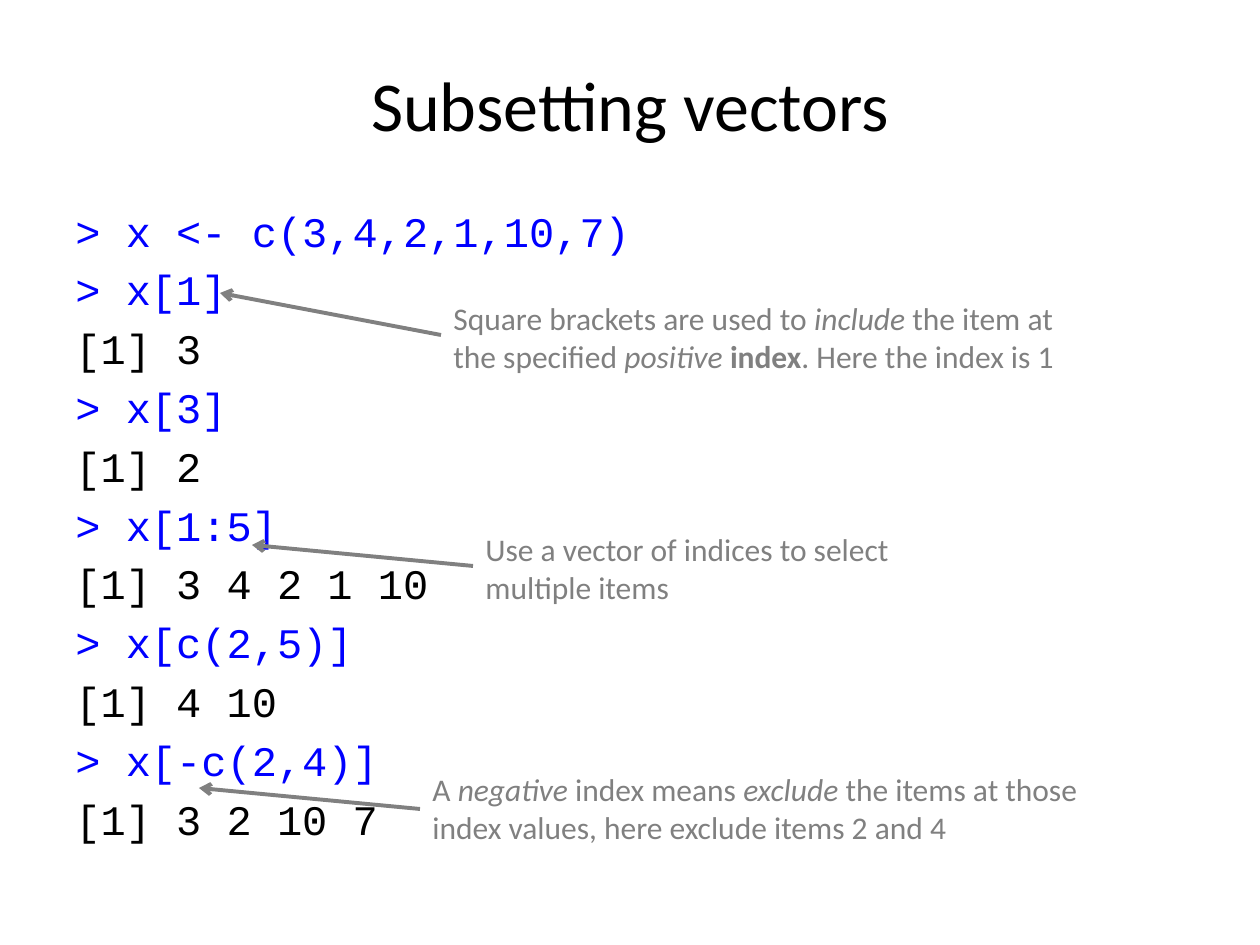
"""Build the slide on subsetting vectors in R."""
from lxml import etree
from pptx import Presentation
from pptx.dml.color import RGBColor
from pptx.enum.shapes import MSO_CONNECTOR
from pptx.enum.text import MSO_ANCHOR, MSO_AUTO_SIZE, PP_ALIGN
from pptx.oxml.ns import qn
from pptx.util import Emu, Pt

BLACK = RGBColor(0, 0, 0)
BLUE = RGBColor(0, 0, 255)
GRAY = RGBColor(128, 128, 128)

TITLE = "Subsetting vectors"
CODE = [
    "> x <- c(3,4,2,1,10,7)",
    "> x[1]",
    "[1] 3",
    "> x[3]",
    "[1] 2",
    "> x[1:5]",
    "[1] 3 4 2 1 10",
    "> x[c(2,5)]",
    "[1] 4 10",
    "> x[-c(2,4)]",
    "[1] 3 2 10 7",
]
NOTES = [
    {"box": (441, 293, 651, 89), "arrow": (441, 335, 220, 293),
     "runs": [("Square brackets are used to ", ""), ("include", "i"),
              (" the item at the specified ", ""), ("positive ", "i"),
              ("index", "b"), (". Here the index is 1", "")]},
    {"box": (473, 524, 473, 89), "arrow": (473, 566, 252, 545),
     "runs": [("Use a vector of indices to select multiple items", "")]},
    {"box": (420, 764, 714, 89), "arrow": (420, 809, 199, 788),
     "runs": [("A ", ""), ("negative", "i"), (" index means ", ""),
              ("exclude", "i"),
              (" the items at those index values, here exclude items 2 and 4", "")]},
]


def px(*lengths):
    return [Emu(round(n * 914400 / 126)) for n in lengths]


def style(r, font, size, color):
    r.font.name = font
    r.font.size = Pt(size)
    r.font.color.rgb = color


def add_box(s, box):
    tf = s.shapes.add_textbox(*px(*box)).text_frame
    tf.word_wrap = True
    return tf


def add_title(s):
    title = s.shapes.title
    title.left, title.top, title.width, title.height = px(63, 38, 1134, 130)
    tf = title.text_frame
    tf.text = TITLE
    tf.vertical_anchor = MSO_ANCHOR.MIDDLE
    p = tf.paragraphs[0]
    p.alignment = PP_ALIGN.CENTER
    style(p.runs[0], "Calibri", 40, BLACK)


def add_code(s):
    tf = add_box(s, (63, 199, 1134, 703))
    tf.text = "\n".join(CODE)
    for p in tf.paragraphs:
        p.space_before = Pt(4.8)
        color = BLUE if p.text.startswith(">") else BLACK
        style(p.runs[0], "Courier New", 24, color)


def add_note(s, note):
    tf = add_box(s, note["box"])
    tf.auto_size = MSO_AUTO_SIZE.SHAPE_TO_FIT_TEXT
    for text, emphasis in note["runs"]:
        r = tf.paragraphs[0].add_run()
        r.text = text
        style(r, "Calibri", 18, GRAY)
        r.font.italic = emphasis == "i"
        r.font.bold = emphasis == "b"


def add_arrow(s, ends):
    sp = s.shapes.add_connector(MSO_CONNECTOR.STRAIGHT, *px(*ends))
    sp.line.color.rgb = GRAY
    sp.line.width = Pt(2.25)
    etree.SubElement(sp.line._get_or_add_ln(), qn("a:tailEnd"), type="arrow")
    etree.SubElement(sp._element.spPr, qn("a:effectLst"))


def main():
    prs = Presentation()
    prs.slide_width, prs.slide_height = px(1260, 945)
    s = prs.slides.add_slide(prs.slide_layouts[5])
    add_title(s)
    add_code(s)
    for note in NOTES:
        add_note(s, note)
        add_arrow(s, note["arrow"])
    prs.save("out.pptx")


if __name__ == "__main__":
    main()
